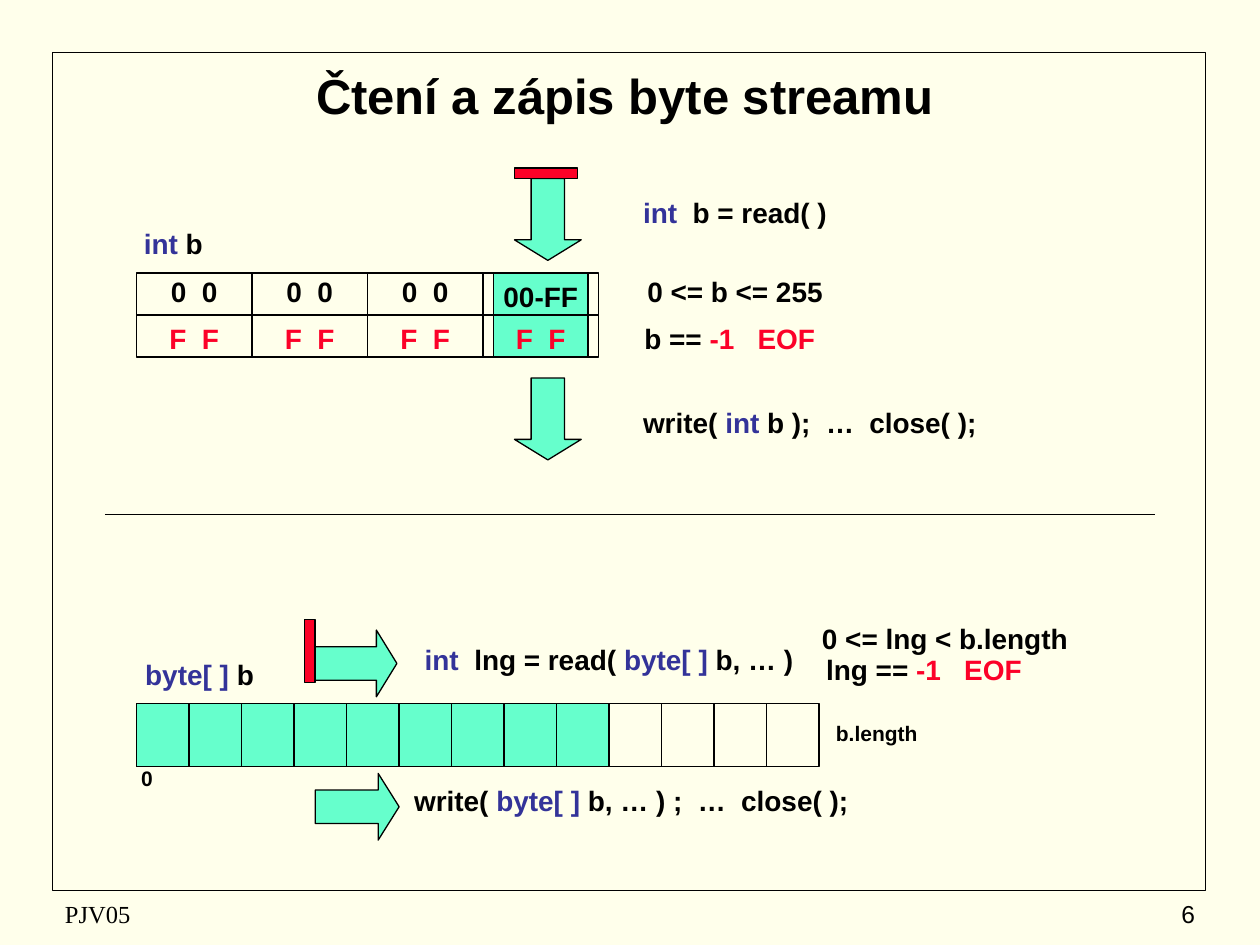
from dataclasses import dataclass
from typing import Optional

from lxml import etree
from pptx import Presentation
from pptx.dml.color import RGBColor
from pptx.enum import shapes, text
from pptx.oxml.ns import qn
from pptx.util import Pt


@dataclass(frozen=True)
class Theme:
    background: str = "FFFFEB"
    ink: str = "000000"
    data: str = "66FFCC"
    keyword: str = "333399"
    eof: str = "FC0128"
    sans: str = "Arial"
    serif: str = "Times New Roman"
    title: float = 28
    body: float = 16
    footer: float = 14
    small: float = 12
    frame_line: float = 1
    line: float = 0.75


THEME = Theme()
RECTANGLE = shapes.MSO_SHAPE.RECTANGLE
CENTER = text.PP_ALIGN.CENTER


@dataclass(frozen=True)
class Run:
    words: str
    color: str = THEME.ink


@dataclass(frozen=True)
class Box:
    left: float
    top: float
    width: float
    height: float

    def lengths(self) -> tuple:
        return Pt(self.left), Pt(self.top), Pt(self.width), Pt(self.height)


@dataclass(frozen=True)
class Label:
    box: Box
    runs: tuple
    size: float = THEME.body
    bold: bool = True
    font: str = THEME.sans
    align: text.PP_ALIGN = CENTER
    middle: bool = False


@dataclass(frozen=True)
class Arrow:
    box: Box
    rotation: float = 0
    head: float = 0.307


def draw_shape(slide, box: Box, fill: Optional[str] = None,
               kind=RECTANGLE, rotation: float = 0, line: float = THEME.line):
    shape = slide.shapes.add_shape(kind, *box.lengths())
    shape.shadow.inherit = False
    shape.rotation = rotation
    if fill:
        shape.fill.solid()
        shape.fill.fore_color.rgb = RGBColor.from_string(fill)
    else:
        shape.fill.background()
    shape.line.color.rgb = RGBColor.from_string(THEME.ink)
    shape.line.width = Pt(line)
    return shape


def draw_arrow(slide, arrow: Arrow) -> None:
    shape = draw_shape(slide, arrow.box, THEME.data,
                       shapes.MSO_SHAPE.DOWN_ARROW, arrow.rotation)
    shape.adjustments[0] = 0.5
    shape.adjustments[1] = arrow.head


def draw_line(slide, left: float, top: float, right: float, bottom: float):
    connector = slide.shapes.add_connector(
        shapes.MSO_CONNECTOR.STRAIGHT, Pt(left), Pt(top), Pt(right), Pt(bottom))
    connector.line.color.rgb = RGBColor.from_string(THEME.ink)
    connector.line.width = Pt(THEME.line)
    etree.SubElement(connector._element.spPr, qn("a:effectLst"))
    return connector


def draw_dividers(slide, box: Box, columns: int) -> list:
    step = box.width / columns
    return [draw_line(slide, box.left + step * i, box.top,
                      box.left + step * i, box.top + box.height)
            for i in range(1, columns)]


def draw_label(slide, label: Label) -> None:
    frame = slide.shapes.add_textbox(*label.box.lengths()).text_frame
    frame.word_wrap = True
    if label.middle:
        frame.vertical_anchor = text.MSO_ANCHOR.MIDDLE
    else:
        frame.auto_size = text.MSO_AUTO_SIZE.SHAPE_TO_FIT_TEXT
    paragraph = frame.paragraphs[0]
    paragraph.alignment = label.align
    for part in label.runs:
        run = paragraph.add_run()
        run.text = part.words
        run.font.name = label.font
        run.font.size = Pt(label.size)
        run.font.bold = label.bold
        run.font.color.rgb = RGBColor.from_string(part.color)


def body(left: float, top: float, width: float, *runs: Run) -> Label:
    return Label(Box(left, top, width, 26.5), runs)


INTEGER = Box(78, 156, 264, 48)
LOW_BYTE = [Box(282, top, 54, 24) for top in (180, 156)]
BUFFER = Box(78, 402, 390, 36)
BUFFER_USED = Box(78, 402, 270, 36)

ARROWS = [
    Arrow(Box(294, 102, 38.16, 46.8)),
    Arrow(Box(294, 216, 38.16, 46.8)),
    Arrow(Box(184.32, 355.7, 38.16, 46.8), 270),
    Arrow(Box(185, 437, 38.16, 48), 270, 0.314),
]

KEY_INT = Run("int ", THEME.keyword)
KEY_BYTES = Run("byte[ ] ", THEME.keyword)
EOF = Run("-1   EOF", THEME.eof)

CELLS = [body(84 + 66 * i, 153.4, 54, Run("0  0")) for i in range(3)]
CELLS += [body(84 + 66 * i, 180, 54, Run("F  F", THEME.eof)) for i in range(4)]

LABELS = CELLS + [
    Label(Box(36, 30, 642, 48), (Run("Čtení a zápis byte streamu"),),
          THEME.title, middle=True),
    body(276, 156, 66, Run("00-FF")),
    body(72, 126, 54, KEY_INT, Run("b")),
    body(342, 153.4, 156, Run("0 <= b <= 255")),
    body(342, 180, 150, Run("b == "), EOF),
    body(348, 108, 144, KEY_INT, Run(" b = read( )")),
    body(348, 228, 234, Run("write( "), KEY_INT, Run("b );  …  close( ); ")),
    body(66, 372, 96, KEY_BYTES, Run("b")),
    body(234, 363.6, 228, KEY_INT, Run(" lng = read( "), KEY_BYTES,
         Run("b, … )")),
    body(228, 444, 270, Run("write( "), KEY_BYTES,
         Run("b, … ) ;  …  close( ); ")),
    body(450, 351.4, 180, Run("0 <= lng < b.length")),
    body(456, 369.4, 144, Run("lng == "), EOF),
    Label(Box(72, 434, 24, 21.6), (Run("0"),), THEME.small),
    Label(Box(456, 408, 90, 21.6), (Run("b.length"),), THEME.small),
    Label(Box(30, 510, 228, 24), (Run("PJV05"),), THEME.footer, False,
          THEME.serif, text.PP_ALIGN.LEFT, True),
    Label(Box(540, 510, 150, 24), (Run("6"),), THEME.footer, False,
          align=text.PP_ALIGN.RIGHT, middle=True),
]


def main() -> None:
    presentation = Presentation()
    presentation.slide_width = Pt(720)
    presentation.slide_height = Pt(540)
    slide = presentation.slides.add_slide(presentation.slide_layouts[6])
    slide.background.fill.solid()
    slide.background.fill.fore_color.rgb = RGBColor.from_string(THEME.background)

    draw_shape(slide, Box(30, 30, 659, 479), line=THEME.frame_line)
    for box in LOW_BYTE + [BUFFER_USED]:
        draw_shape(slide, box, THEME.data)

    integer = draw_shape(slide, INTEGER)
    center_divider = draw_dividers(slide, INTEGER, 4)[1]
    center_divider.begin_connect(integer, 0)
    center_divider.end_connect(integer, 2)
    row_divider = draw_line(slide, 78, 180, 342, 180)
    row_divider.begin_connect(integer, 1)
    row_divider.end_connect(integer, 3)

    draw_shape(slide, BUFFER)
    draw_dividers(slide, BUFFER, 13)
    draw_line(slide, 60, 294, 660, 294)

    for arrow in ARROWS:
        draw_arrow(slide, arrow)
    draw_shape(slide, Box(159, 369, 36, 6), THEME.eof, rotation=270)
    draw_shape(slide, Box(294, 96, 36, 6), THEME.eof)
    for label in LABELS:
        draw_label(slide, label)
    presentation.save("out.pptx")


if __name__ == "__main__":
    main()
